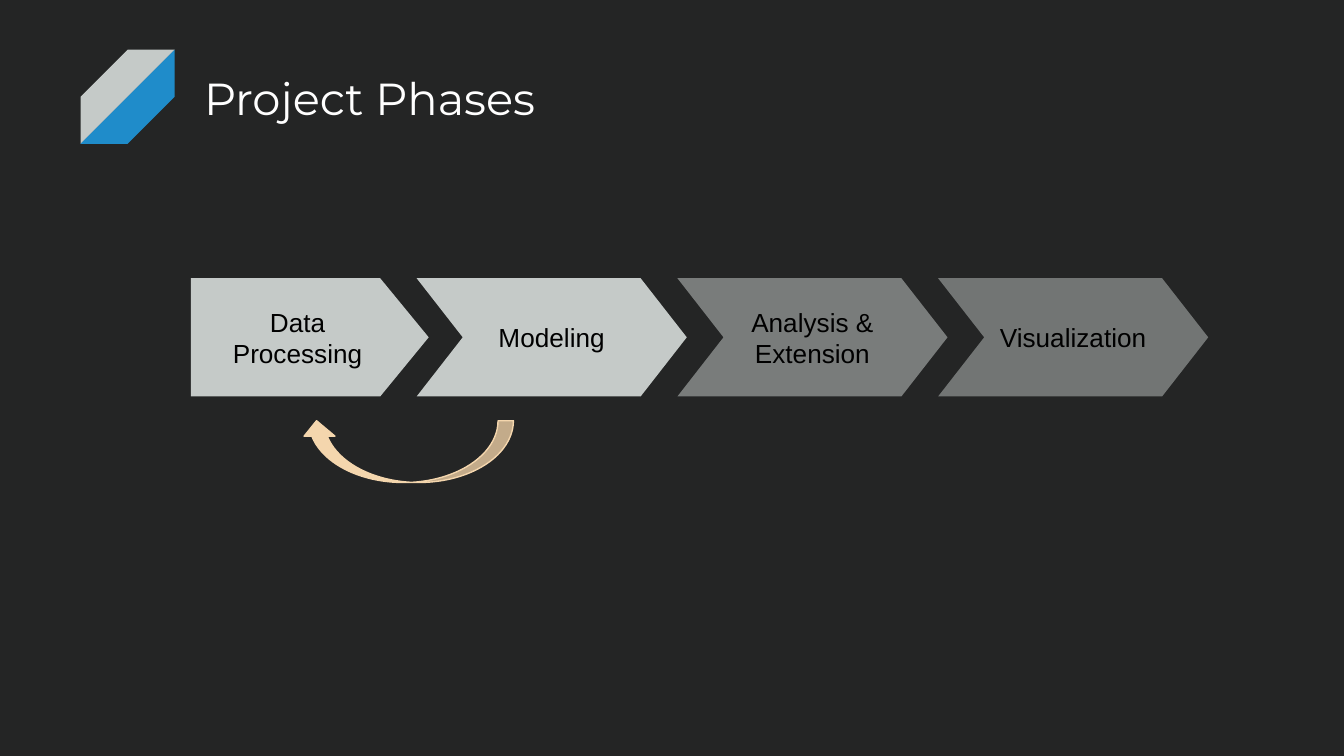
from pptx import Presentation
from pptx.dml.color import RGBColor
from pptx.enum.shapes import MSO_SHAPE
from pptx.enum.text import MSO_ANCHOR, PP_ALIGN
from pptx.oxml.ns import qn
from pptx.util import Inches, Pt
from lxml import etree

STRIPE = MSO_SHAPE.DIAGONAL_STRIPE
CHEVRON = MSO_SHAPE.CHEVRON
PENTAGON = MSO_SHAPE.PENTAGON
CURVED_ARROW = MSO_SHAPE.CURVED_DOWN_ARROW
LEFT, CENTER = PP_ALIGN.LEFT, PP_ALIGN.CENTER
TOP, MIDDLE = MSO_ANCHOR.TOP, MSO_ANCHOR.MIDDLE

BACKGROUND, SILVER, BLUE, SAND = "242525", "C5CAC8", "1F8CCA", "F4D6AD"
WHITE, BLACK = "FFFFFF", "000000"

TITLE = "Project Phases"
FIRST_PHASE = "Data Processing"
# Later phases with their fill opacity in percent
LATER_PHASES = [("Modeling", 100), ("Analysis & Extension", 53), ("Visualization", 49)]

SLIDE_WIDTH = 10
SLIDE_HEIGHT = SLIDE_WIDTH * 9 / 16
PHASE_TOP, PHASE_HEIGHT = 2.07, 0.88
CHEVRON_LEFT, CHEVRON_WIDTH, CHEVRON_STEP = 3.1, 2.01, 1.94


def rgb(color):
    return RGBColor.from_string(color)


def add_shape(s, kind, box, adjustments, fill, opacity=100, rotation=0):
    sp = s.shapes.add_shape(kind, *map(Inches, box))
    sp.shadow.inherit = False
    sp.rotation = rotation
    for i, value in enumerate(adjustments):
        sp.adjustments[i] = value
    sp.fill.solid()
    sp.fill.fore_color.rgb = rgb(fill)
    sp.line.fill.background()
    if opacity < 100:
        color = sp.element.spPr.find(qn("a:solidFill"))[0]
        etree.SubElement(color, qn("a:alpha"), val=str(opacity * 1000))
    return sp


def add_text(sp, text, font, size, color, align, anchor):
    tf = sp.text_frame
    tf.word_wrap = True
    tf.vertical_anchor = anchor
    tf.margin_left = tf.margin_right = tf.margin_top = tf.margin_bottom = Inches(0.1)
    p = tf.paragraphs[0]
    p.alignment = align
    r = p.add_run()
    r.text = text
    r.font.name = font
    r.font.size = Pt(size)
    r.font.color.rgb = rgb(color)


def add_phase(s, kind, left, width, adjustment, text, opacity=100):
    box = (left, PHASE_TOP, width, PHASE_HEIGHT)
    sp = add_shape(s, kind, box, [adjustment], SILVER, opacity)
    add_text(sp, text, "Arial", 14, BLACK, CENTER, MIDDLE)


prs = Presentation()
prs.slide_width, prs.slide_height = Inches(SLIDE_WIDTH), Inches(SLIDE_HEIGHT)
s = prs.slides.add_slide(prs.slide_layouts[6])
s.background.fill.solid()
s.background.fill.fore_color.rgb = rgb(BACKGROUND)

for color, rotation in [(SILVER, 0), (BLUE, 180)]:
    add_shape(s, STRIPE, (0.6, 0.37, 0.7, 0.7), [0.5], color, rotation=rotation)

title = s.shapes.add_textbox(*map(Inches, (1.42, 0.43, 7.7, 1)))
add_text(title, TITLE, "Montserrat", 24, WHITE, LEFT, TOP)

for i, (name, opacity) in enumerate(LATER_PHASES):
    left = CHEVRON_LEFT + i * CHEVRON_STEP
    add_phase(s, CHEVRON, left, CHEVRON_WIDTH, 0.39, name, opacity)
add_phase(s, PENTAGON, 1.42, 1.77, 0.41, FIRST_PHASE)

loop = add_shape(s, CURVED_ARROW, (2.24, 3.13, 1.58, 0.46), [0.25, 0.5, 0.25], SAND, rotation=180)
loop.line.color.rgb = rgb(SAND)
loop.line.width = Pt(0.75)

prs.save("out.pptx")
